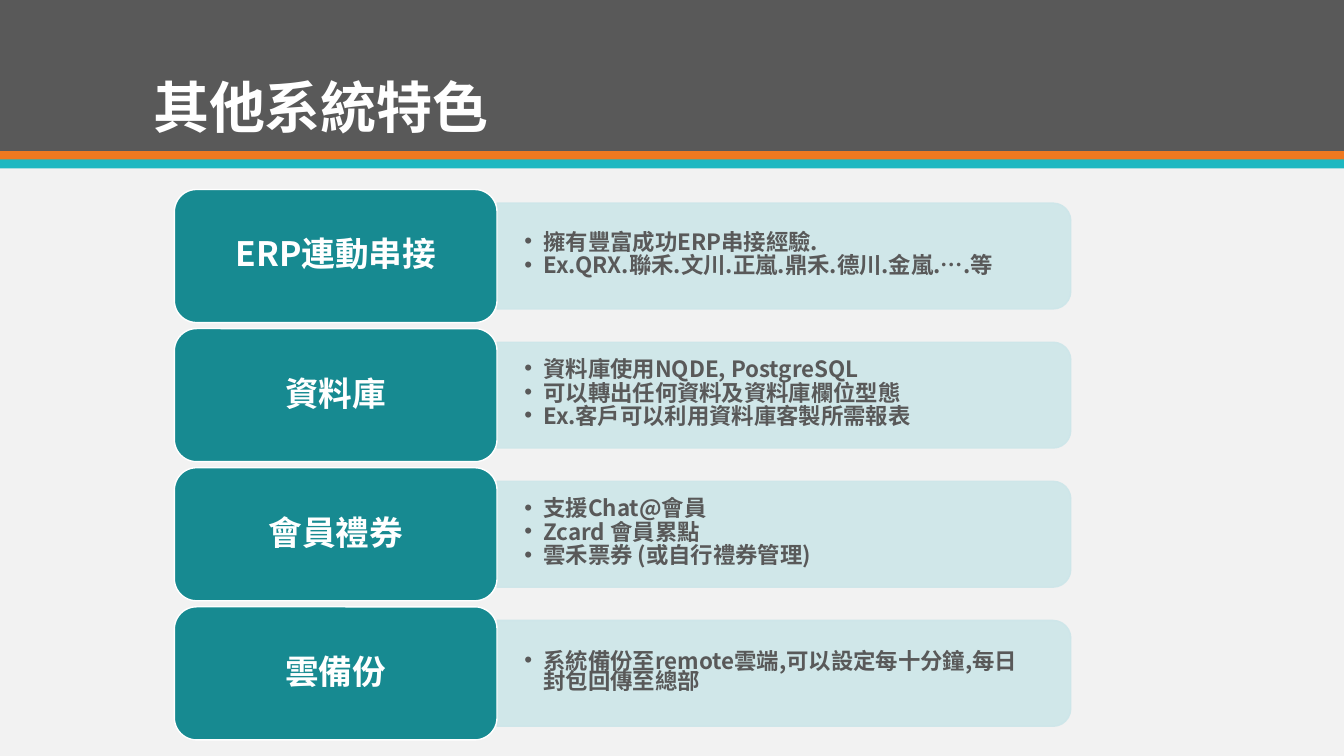
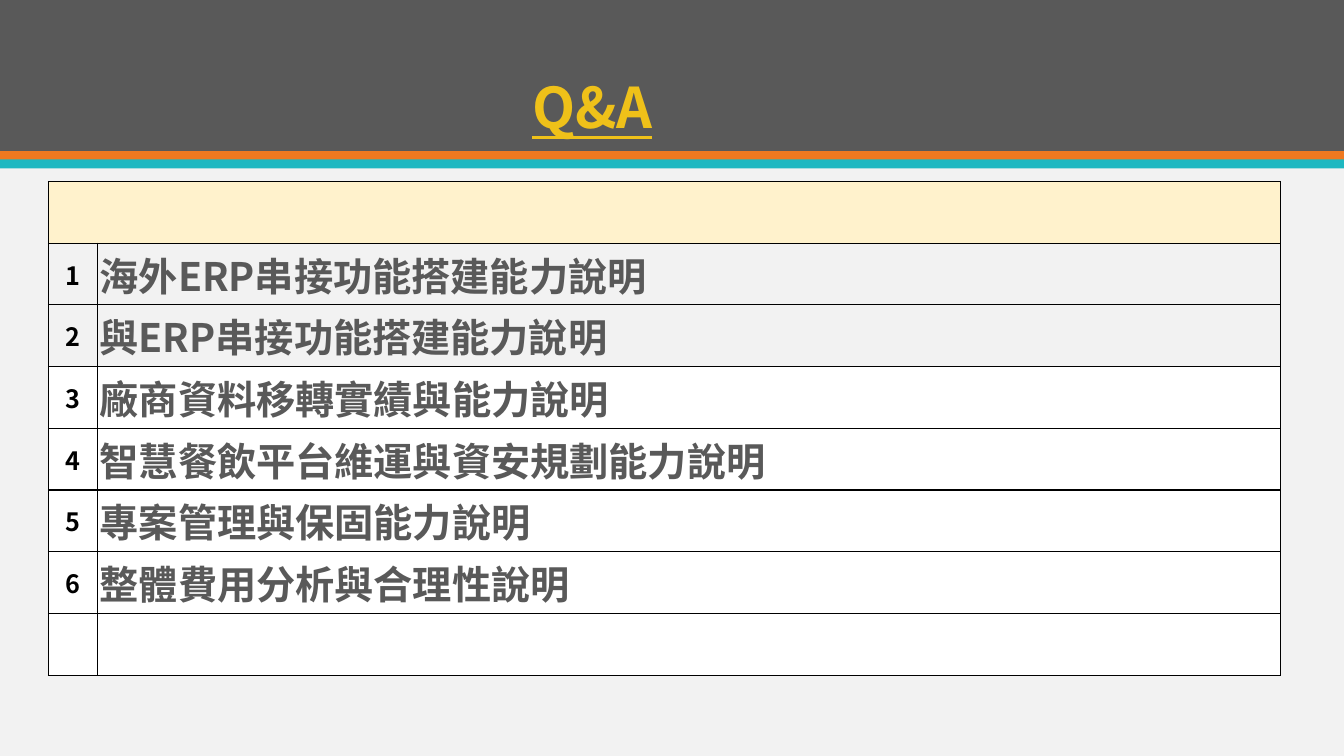
from pptx import Presentation
from pptx.dml.color import RGBColor
from pptx.enum.shapes import MSO_SHAPE
from pptx.enum.text import MSO_ANCHOR, PP_ALIGN
from pptx.oxml.ns import qn
from pptx.util import Inches, Pt
from lxml.etree import SubElement

FONT = "Noto Sans CJK SC"
GRAY = RGBColor(0x59, 0x59, 0x59)
ORANGE = RGBColor(0xEF, 0x79, 0x20)
CYAN = RGBColor(0x1E, 0xB8, 0xC1)
PAPER = RGBColor(0xF2, 0xF2, 0xF2)
TEAL = RGBColor(0x17, 0x8A, 0x91)
MINT = RGBColor(0xCD, 0xE6, 0xE9)
CREAM = RGBColor(0xFF, 0xF2, 0xCC)
GOLD = RGBColor(0xEF, 0xC1, 0x19)
WHITE = RGBColor(0xFF, 0xFF, 0xFF)
BLACK = RGBColor(0, 0, 0)

WIDTH, HEIGHT = 13.33, 7.5
BANDS = [(0, 1.5, GRAY), (1.5, 0.09, ORANGE), (1.58, 0.09, CYAN)]

TOPICS = [
    ("ERP連動串接", ["擁有豐富成功ERP串接經驗.",
                 "Ex.QRX.聯禾.文川.正嵐.鼎禾.德川.金嵐.….等"]),
    ("資料庫", ["資料庫使用NQDE, PostgreSQL",
             "可以轉出任何資料及資料庫欄位型態",
             "Ex.客戶可以利用資料庫客製所需報表"]),
    ("會員禮券", ["支援Chat@會員", "Zcard 會員累點", "雲禾票券 (或自行禮券管理)"]),
    ("雲備份", ["系統備份至remote雲端,可以設定每十分鐘,每日封包回傳至總部"]),
]
ITEMS = [
    "海外ERP串接功能搭建能力說明",
    "與ERP串接功能搭建能力說明",
    "廠商資料移轉實績與能力說明",
    "智慧餐飲平台維運與資安規劃能力說明",
    "專案管理與保固能力說明",
    "整體費用分析與合理性說明",
]


def box(left, top, width, height):
    return [Inches(n) for n in (left, top, width, height)]


def add_run(para, text, size, color, under=None):
    run = para.add_run()
    run.text = text
    font = run.font
    font.size, font.bold, font.name = Pt(size), True, FONT
    font.underline = under
    font.color.rgb = color
    SubElement(run._r.get_or_add_rPr(), qn("a:ea"), typeface=FONT)


def add_block(slide, kind, area, fill, line=None):
    shape = slide.shapes.add_shape(kind, *box(*area))
    shape.shadow.inherit = False
    shape.fill.solid()
    shape.fill.fore_color.rgb = fill
    if line is None:
        shape.line.fill.background()
    else:
        shape.line.color.rgb = line
        shape.line.width = Pt(1)
    return shape


def add_text(slide, area, anchor):
    frame = slide.shapes.add_textbox(*box(*area)).text_frame
    frame.word_wrap = True
    frame.vertical_anchor = anchor
    return frame


def add_page(deck, title, color=WHITE, under=None, indent=0):
    slide = deck.slides.add_slide(deck.slide_layouts[6])
    slide.background.fill.solid()
    slide.background.fill.fore_color.rgb = PAPER
    for top, height, fill in BANDS:
        add_block(slide, MSO_SHAPE.RECTANGLE, (0, top, WIDTH, height), fill)
    frame = add_text(slide, (1.42, 0.28, 10.5, 1.13), MSO_ANCHOR.BOTTOM)
    frame.margin_bottom = Inches(0.01)
    para = frame.paragraphs[0]
    para.line_spacing = 0.9
    para._p.get_or_add_pPr().set("marL", str(Inches(indent)))
    add_run(para, title, 40, color, under)
    return slide


def add_panel(slide, left, mid, width, height):
    area = (left + (width - height) / 2, mid - width / 2, height, width)
    panel = add_block(slide, MSO_SHAPE.ROUND_2_SAME_RECTANGLE, area, MINT, MINT)
    panel.rotation = 90
    for tint in panel._element.spPr.iter(qn("a:srgbClr")):
        SubElement(tint, qn("a:alpha"), val="90000")


def add_points(slide, area, points):
    frame = add_text(slide, area, MSO_ANCHOR.MIDDLE)
    frame.margin_left = frame.margin_right = Inches(0.27)
    frame.margin_top = frame.margin_bottom = Inches(0.14)
    for num, text in enumerate(points):
        para = frame.add_paragraph() if num else frame.paragraphs[0]
        para.line_spacing = 0.75
        para.space_after = Pt(2.4)
        props = para._p.get_or_add_pPr()
        props.set("marL", str(Inches(0.19)))
        props.set("indent", str(Inches(-0.19)))
        SubElement(props, qn("a:buFont"), typeface="Arial")
        SubElement(props, qn("a:buChar"), char="•")
        add_run(para, text, 16, GRAY)


def add_topic(slide, top, label, points):
    mid = top + 0.66
    add_panel(slide, 4.93, mid, 5.69, 1.05)
    add_points(slide, (4.93, mid - 0.475, 5.64, 0.95), points)
    tile = add_block(slide, MSO_SHAPE.ROUNDED_RECTANGLE,
                     (1.73, top, 3.2, 1.32), TEAL, WHITE)
    tile.text_frame.vertical_anchor = MSO_ANCHOR.MIDDLE
    para = tile.text_frame.paragraphs[0]
    para.alignment = PP_ALIGN.CENTER
    para.line_spacing = 0.9
    add_run(para, label, 24, WHITE)


def style_cell(cell, fill):
    props = cell._tc.get_or_add_tcPr()
    for side in ("lnL", "lnR", "lnT", "lnB"):
        line = SubElement(props, qn("a:" + side), w=str(Pt(1)))
        paint = SubElement(line, qn("a:solidFill"))
        SubElement(paint, qn("a:srgbClr"), val=str(BLACK))
    if fill is None:
        cell.fill.background()
    else:
        cell.fill.solid()
        cell.fill.fore_color.rgb = fill
    cell.vertical_anchor = MSO_ANCHOR.MIDDLE
    cell.margin_left = cell.margin_right = Inches(0.02)
    cell.margin_top = cell.margin_bottom = 0


def add_list(slide, items):
    fills = [CREAM, None, None] + [WHITE] * (len(items) - 1)
    area = box(0.48, 1.8, 12.22, 4.9)
    table = slide.shapes.add_table(len(fills), 2, *area).table
    table.first_row = table.horz_banding = False
    table.columns[0].width = Inches(0.49)
    table.columns[1].width = Inches(11.73)
    for row, fill in zip(table.rows, fills):
        for cell in row.cells:
            style_cell(cell, fill)
    table.cell(0, 0).merge(table.cell(0, 1))
    for num, text in enumerate(items, 1):
        para = table.cell(num, 0).text_frame.paragraphs[0]
        para.alignment = PP_ALIGN.CENTER
        add_run(para, str(num), 18, BLACK)
        add_run(table.cell(num, 1).text_frame.paragraphs[0], text, 28, GRAY)


def main():
    deck = Presentation()
    deck.slide_width, deck.slide_height = Inches(WIDTH), Inches(HEIGHT)
    slide = add_page(deck, "其他系統特色")
    for num, (label, points) in enumerate(TOPICS):
        add_topic(slide, 1.88 + 1.38 * num, label, points)
    slide = add_page(deck, "Q&A", GOLD, True, 3.76)
    add_list(slide, ITEMS)
    deck.save("out.pptx")


if __name__ == "__main__":
    main()
